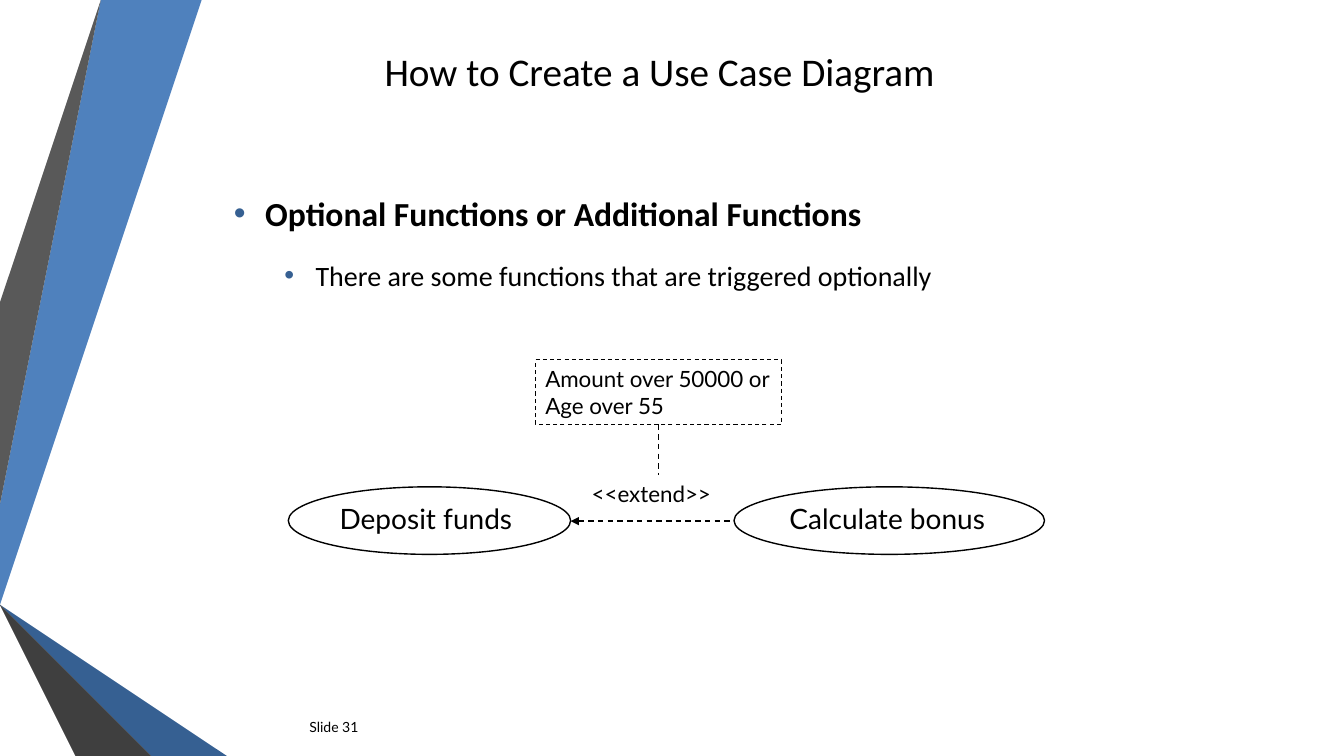
from lxml.etree import SubElement
from pptx import Presentation
from pptx.dml.color import RGBColor
from pptx.enum.dml import MSO_LINE
from pptx.enum.shapes import MSO_CONNECTOR, MSO_SHAPE
from pptx.enum.text import MSO_ANCHOR, MSO_AUTO_SIZE, PP_ALIGN
from pptx.oxml.ns import qn
from pptx.util import Inches, Pt

BLACK = "000000"

# Corner ribbons: colour and outline points in inches, back to front
RIBBONS = [
    ("4F81BD", [(0, 5.44), (0, 5.75), (0.29, 5.79), (1.56, 0), (1.19, 0)]),
    ("595959", [(1.11, 0), (0.74, 0), (0, 3.36), (0, 5.06)]),
    ("262626", [(0, 6.19), (0, 6.21), (1.25, 7.5), (1.32, 7.5)]),
    ("244061", [(0, 5.79), (0, 5.8), (2.09, 7.5), (2.17, 7.5)]),
    ("366092", [(0, 5.79), (2.17, 7.5), (3.11, 7.5), (0.29, 5.79), (0, 5.75)]),
    ("3F3F3F", [(0, 6.19), (1.32, 7.5), (2.01, 7.5), (0, 5.86)]),
]


def colour(hex_string):
    return RGBColor.from_string(hex_string)


class SlideBuilder:
    heading_font = "Calibri"
    diagram_font = "Lato"
    bullet_colour = "366092"

    def __init__(self, slide):
        self.slide = slide
        self.shapes = slide.shapes

    def place(self, shape, left, top, width, height):
        shape.left, shape.top = Inches(left), Inches(top)
        shape.width, shape.height = Inches(width), Inches(height)

    def add_run(self, paragraph, text, size, font, bold=False):
        run = paragraph.add_run()
        run.text = text
        run.font.name = font
        run.font.size = Pt(size)
        run.font.bold = bold
        run.font.color.rgb = colour(BLACK)

    def add_lines(self, shape, lines, size, wrap=True):
        frame = shape.text_frame
        frame.word_wrap = wrap
        frame.vertical_anchor = MSO_ANCHOR.TOP
        for index, line in enumerate(lines):
            paragraph = frame.add_paragraph() if index else frame.paragraphs[0]
            paragraph.alignment = PP_ALIGN.LEFT
            self.add_run(paragraph, line, size, self.diagram_font)

    def title(self, text, *box):
        title = self.shapes.title
        self.place(title, *box)
        frame = title.text_frame
        frame.auto_size = MSO_AUTO_SIZE.NONE
        frame.vertical_anchor = MSO_ANCHOR.MIDDLE
        paragraph = frame.paragraphs[0]
        paragraph.alignment = PP_ALIGN.CENTER
        self.add_run(paragraph, text, 28, self.heading_font)

    def bullets(self, items, *box):
        body = self.slide.placeholders[1]
        self.place(body, *box)
        frame = body.text_frame
        frame.auto_size = MSO_AUTO_SIZE.NONE
        for level, (text, size, bold, space) in enumerate(items):
            paragraph = frame.add_paragraph() if level else frame.paragraphs[0]
            paragraph.level = level
            paragraph.space_before = Pt(space)
            self.add_run(paragraph, text, size, self.heading_font, bold)
            self.bullet(paragraph, 0.31 + 0.5 * level)

    def bullet(self, paragraph, margin):
        properties = paragraph._p.get_or_add_pPr()
        properties.set("marL", str(Inches(margin)))
        properties.set("indent", str(-Inches(0.31)))
        bullet_colour = SubElement(properties, qn("a:buClr"))
        SubElement(bullet_colour, qn("a:srgbClr"), val=self.bullet_colour)
        SubElement(properties, qn("a:buFont"), typeface="Arial")
        SubElement(properties, qn("a:buChar"), char="•")

    def ribbon(self, fill, points):
        builder = self.shapes.build_freeform(*points[0], scale=Inches(1))
        builder.add_line_segments(points[1:], close=True)
        shape = builder.convert_to_shape()
        shape.shadow.inherit = False
        shape.fill.solid()
        shape.fill.fore_color.rgb = colour(fill)
        shape.line.fill.background()

    def outline(self, line, width, dashed):
        line.color.rgb = colour(BLACK)
        line.width = Pt(width)
        if dashed:
            line.dash_style = MSO_LINE.DASH

    def node(self, kind, lines, size, box, line_width=1, dashed=False, wrap=True):
        shape = self.shapes.add_shape(kind, *map(Inches, box))
        shape.shadow.inherit = False
        shape.fill.background()
        self.outline(shape.line, line_width, dashed)
        self.add_lines(shape, lines, size, wrap)
        return shape

    def label(self, text, size, *box):
        self.add_lines(self.shapes.add_textbox(*map(Inches, box)), [text], size)

    def dashed_line(self, start, end, arrow=False):
        connector = self.shapes.add_connector(
            MSO_CONNECTOR.STRAIGHT, *map(Inches, (*start, *end)))
        self.outline(connector.line, 1, True)
        if arrow:
            SubElement(connector.line._get_or_add_ln(), qn("a:headEnd"), type="triangle")
        SubElement(connector._element.spPr, qn("a:effectLst"))
        return connector


def main():
    presentation = Presentation()
    presentation.slide_width = Inches(13.33)
    presentation.slide_height = Inches(7.5)
    builder = SlideBuilder(presentation.slides.add_slide(presentation.slide_layouts[1]))

    # Decoration
    for fill, points in RIBBONS:
        builder.ribbon(fill, points)

    # Title, list and slide number
    builder.title("How to Create a Use Case Diagram", 2.29, 0.33, 8.5, 0.75)
    builder.bullets([
        ("Optional Functions or Additional Functions", 24, True, 0),
        ("There are some functions that are triggered optionally", 20, False, 18),
    ], 2.22, 1.86, 8.75, 4.92)
    builder.label("Slide 31", 10, 2.97, 7.08, 7.75, 0.4)

    # Use cases and the extend relation
    builder.node(MSO_SHAPE.OVAL, ["Deposit funds"], 20, (2.86, 4.83, 2.8, 0.67))
    builder.node(MSO_SHAPE.OVAL, ["Calculate bonus"], 20, (7.28, 4.83, 3.08, 0.67))
    builder.dashed_line((5.66, 5.17), (7.28, 5.17), arrow=True)
    builder.label("<<extend>>", 16, 5.77, 4.71, 1.52, 0.37)

    # Condition note
    condition = builder.node(
        MSO_SHAPE.RECTANGLE, ["Amount over 50000 or", "Age over 55"], 16,
        (5.31, 3.57, 2.44, 0.64), line_width=0.75, dashed=True, wrap=False)
    condition_line = builder.dashed_line((6.53, 4.21), (6.53, 4.71))
    condition_line.begin_connect(condition, 2)

    presentation.save("out.pptx")


if __name__ == "__main__":
    main()
